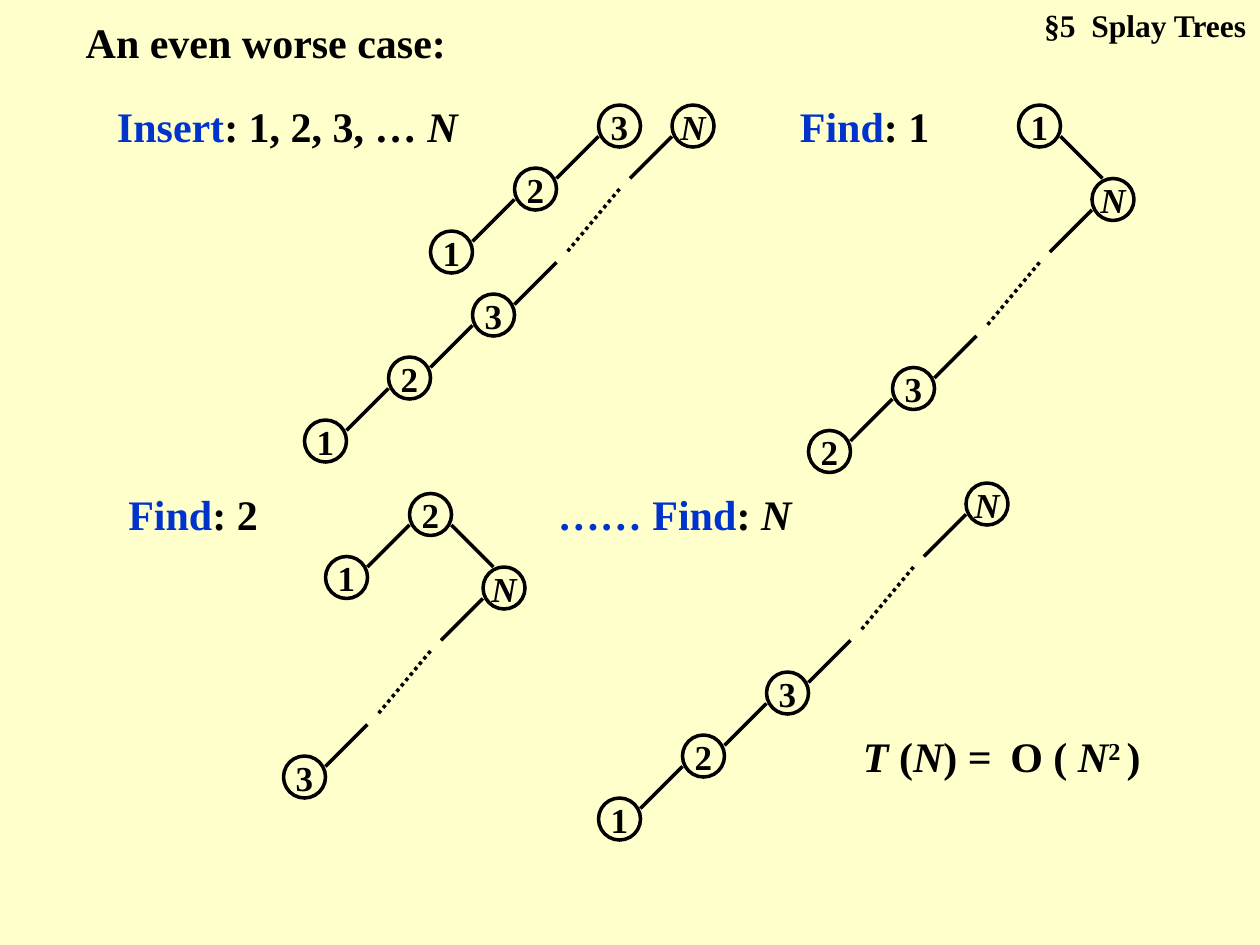
from dataclasses import dataclass

import pptx
import pptx.dml.color
import pptx.enum.dml
import pptx.enum.shapes
import pptx.enum.text
import pptx.oxml
import pptx.oxml.ns
import pptx.util
from pptx.util import Inches

ALIGN = pptx.enum.text.PP_ALIGN
ANCHOR = pptx.enum.text.MSO_ANCHOR


def rgb(value):
    return pptx.dml.color.RGBColor.from_string(value)


@dataclass(frozen=True)
class Theme:
    font: str = "Times New Roman"
    paper: str = "FFFFCC"
    ink: str = "000000"
    accent: str = "0033CC"
    body: int = 24
    node: int = 20
    header: int = 18
    line: int = 2


THEME = Theme()

# Trees sit on a grid of twelve units to the inch
UNIT = Inches(1) // 12
NODE = 4             # node diameter
LEFT = (-8, 6)       # parent to left child
RIGHT = (7, 7)       # parent to right child
LONG = (-19, 18)     # parent to left child past the omitted nodes


def add_runs(tf, runs, size, align=ALIGN.LEFT):
    """Each run is (text, style): a = accent, i = italic, s = superscript."""
    p = tf.paragraphs[0]
    p.alignment = align
    for text, style in runs:
        r = p.add_run()
        r.text = text
        r.font.name = THEME.font
        r.font.size = pptx.util.Pt(size)
        r.font.bold = True
        r.font.italic = "i" in style
        r.font.color.rgb = rgb(THEME.accent if "a" in style else THEME.ink)
        if "s" in style:
            r._r.get_or_add_rPr().set("baseline", "30000")


def add_text(slide, box, runs, size=THEME.body, align=ALIGN.LEFT):
    sp = slide.shapes.add_textbox(*(Inches(v) for v in box))
    sp.text_frame.word_wrap = True
    add_runs(sp.text_frame, runs, size, align)


def add_title(slide, box, text):
    sp = slide.shapes.title
    sp.left, sp.top, sp.width, sp.height = (Inches(v) for v in box)
    tf = sp.text_frame
    tf.auto_size = pptx.enum.text.MSO_AUTO_SIZE.NONE
    tf.vertical_anchor = ANCHOR.TOP
    add_runs(tf, [(text, "")], THEME.body)
    tf.paragraphs[0].space_before = pptx.util.Pt(0)


def add_edge(group, x, y, start, end, dotted=False):
    points = (x + start[0], y + start[1], x + end[0], y + end[1])
    line = group.shapes.add_connector(
        pptx.enum.shapes.MSO_CONNECTOR.STRAIGHT, *(v * UNIT for v in points))
    line.line.color.rgb = rgb(THEME.ink)
    line.line.width = pptx.util.Pt(THEME.line)
    if dotted:
        line.line.dash_style = pptx.enum.dml.MSO_LINE.ROUND_DOT
    line._element.spPr.append(pptx.oxml.parse_xml(
        "<a:effectLst %s/>" % pptx.oxml.ns.nsdecls("a")))


def add_node(group, x, y, label):
    sp = group.shapes.add_shape(
        pptx.enum.shapes.MSO_SHAPE.OVAL,
        x * UNIT, y * UNIT, NODE * UNIT, NODE * UNIT)
    sp.shadow.inherit = False
    sp.fill.background()
    sp.line.color.rgb = rgb(THEME.ink)
    sp.line.width = pptx.util.Pt(THEME.line)
    tf = sp.text_frame
    tf.word_wrap = False
    tf.vertical_anchor = ANCHOR.MIDDLE
    add_runs(tf, [(label, "i" if label == "N" else "")], THEME.node, ALIGN.CENTER)


def add_tree(group, x, y, tree):
    """Draw a tree (label, {branch: subtree}) with its root at grid point x, y."""
    label, children = tree
    add_node(group, x, y, label)
    for branch, child in children.items():
        if branch == RIGHT:
            add_edge(group, x, y, (4, 3), (8, 7))
        else:
            add_edge(group, x, y, (0, 3), (-4, 7))
        if branch == LONG:
            add_edge(group, x, y, (-5, 8), (-10, 14), dotted=True)
            add_edge(group, x, y, (-11, 15), (-15, 19))
        add_tree(group, x + branch[0], y + branch[1], child)


def add_case(slide, box, runs, trees):
    """One operation: its caption and the trees it leaves, as (x, y, tree)."""
    add_text(slide, box, runs)
    for x, y, tree in trees:
        add_tree(slide.shapes.add_group_shape(), x, y, tree)


def add_cost(slide, left, top):
    add_text(slide, (left, top, 1.42, 0.5),
             [("T", "i"), (" (", ""), ("N", "i"), (") =", "")])
    add_text(slide, (left + 1.17, top, 1.5, 0.5),
             [("O ( ", ""), ("N", "i"), ("2 ", "s"), (")", "")])


# Trees reached by the sequence of operations
ONE = ("1", {})
TWO_ONE = ("2", {LEFT: ONE})
THREE_TWO_ONE = ("3", {LEFT: TWO_ONE})
FULL_CHAIN = ("N", {LONG: THREE_TWO_ONE})
FOUND_ONE = ("1", {RIGHT: ("N", {LONG: ("3", {LEFT: ("2", {})})})})
FOUND_TWO = ("2", {LEFT: ONE, RIGHT: ("N", {LONG: ("3", {})})})

CASES = [
    ((0.83, 0.75, 4.08, 0.5),
     [("Insert", "a"), (": 1, 2, 3, … ", ""), ("N", "i")],
     [(57, 10, THREE_TWO_ONE), (64, 10, FULL_CHAIN)]),
    ((6.25, 0.75, 1.42, 0.5),
     [("Find", "a"), (": 1", "")], [(97, 10, FOUND_ONE)]),
    ((0.92, 3.83, 1.42, 0.5),
     [("Find", "a"), (": 2", "")], [(39, 47, FOUND_TWO)]),
    ((4.33, 3.83, 2.58, 0.5),
     [("…… Find", "a"), (": ", ""), ("N", "i")], [(92, 46, FULL_CHAIN)]),
]


def main():
    prs = pptx.Presentation()
    prs.slide_width, prs.slide_height = Inches(10), Inches(7.5)
    slide = prs.slides.add_slide(prs.slide_layouts.get_by_name("Title Only"))
    slide.background.fill.solid()
    slide.background.fill.fore_color.rgb = rgb(THEME.paper)

    # Heading and section name
    add_title(slide, (0.58, 0.08, 4.08, 0.5), "An even worse case:")
    add_text(slide, (7.83, 0, 2.16, 0.4), [("§5  Splay Trees", "")],
             THEME.header, ALIGN.RIGHT)

    # Operations with their trees, then the total cost
    for box, runs, trees in CASES:
        add_case(slide, box, runs, trees)
    add_cost(slide, 6.75, 5.75)

    prs.save("out.pptx")


if __name__ == "__main__":
    main()
